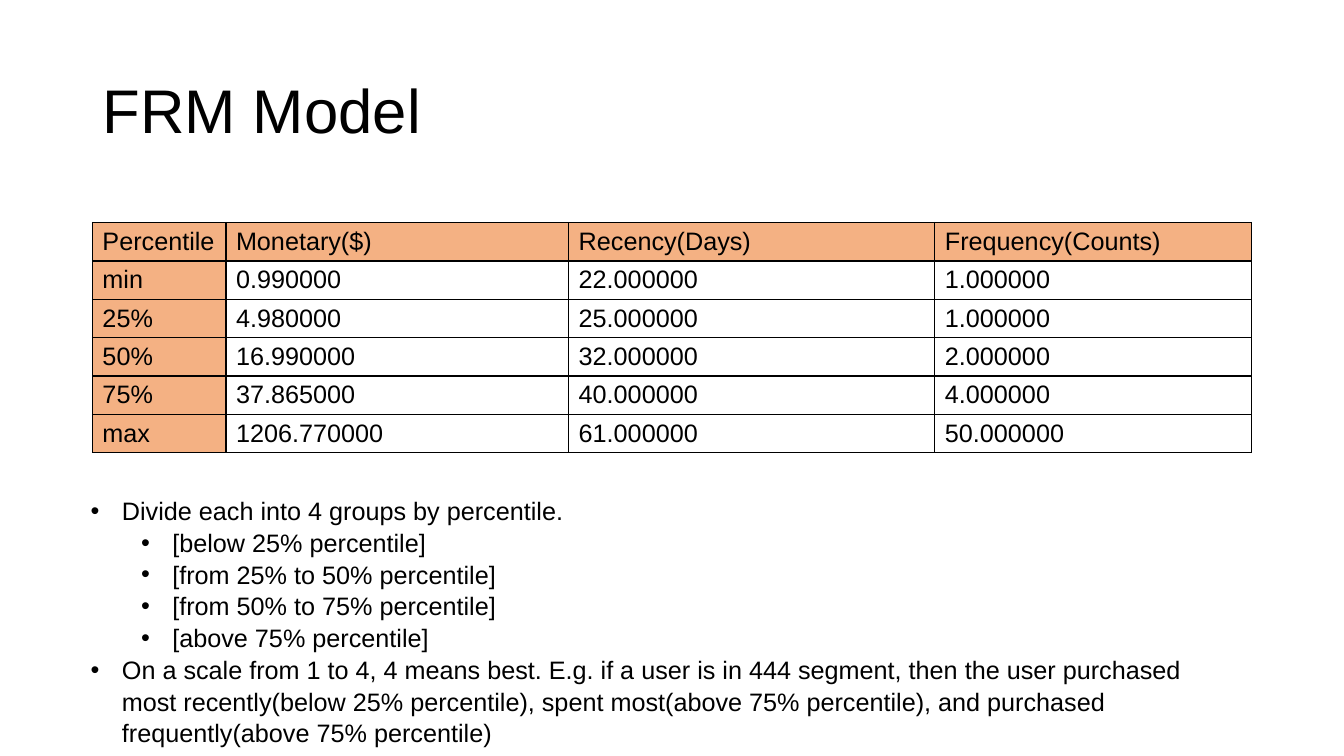
from dataclasses import dataclass

from lxml.etree import SubElement
from pptx import Presentation
from pptx.dml.color import RGBColor
from pptx.enum.text import MSO_ANCHOR as Anchor, MSO_AUTO_SIZE as AutoSize, PP_ALIGN as Align
from pptx.oxml.ns import qn
from pptx.util import Inches, Pt


@dataclass(frozen=True)
class Theme:
    font: str = "Arial"
    ink: str = "000000"
    accent: str = "F4B183"
    title_size: int = 44
    body_size: int = 18
    border: int = 1


class SlideBuilder:
    """Places styled elements on one slide, measured on a 160 by 90 grid."""

    def __init__(self, presentation, theme):
        self.theme = theme
        self.column = presentation.slide_width / 160
        self.row = presentation.slide_height / 90
        self.slide = presentation.slides.add_slide(presentation.slide_layouts[1])

    def across(self, columns):
        return round(columns * self.column)

    def down(self, rows):
        return round(rows * self.row)

    def place(self, shape, left, top, width, height):
        shape.left, shape.top = self.across(left), self.down(top)
        shape.width, shape.height = self.across(width), self.down(height)

    def style(self, paragraph, size):
        font = paragraph.font
        font.name, font.size = self.theme.font, Pt(size)
        font.color.rgb = RGBColor.from_string(self.theme.ink)

    def title(self, text, *box):
        shape = self.slide.shapes.title
        self.place(shape, *box)
        frame = shape.text_frame
        frame.text = text
        frame.auto_size = AutoSize.NONE
        frame.vertical_anchor = Anchor.MIDDLE
        paragraph = frame.paragraphs[0]
        paragraph.alignment = Align.LEFT
        paragraph.line_spacing = 0.9
        self.style(paragraph, self.theme.title_size)

    def bullet(self, paragraph, level):
        paragraph.level = level
        properties = paragraph._p.get_or_add_pPr()
        properties.set("marL", str(Inches(0.31 + 0.5 * level)))
        properties.set("indent", str(Inches(-0.31)))
        SubElement(properties, qn("a:buFont"), typeface=self.theme.font)
        SubElement(properties, qn("a:buChar"), char="•")

    def bullets(self, items, *box):
        shape = self.slide.placeholders[1]
        self.place(shape, *box)
        frame = shape.text_frame
        frame.auto_size = AutoSize.NONE
        frame.vertical_anchor = Anchor.TOP
        frame.text = "\n".join(text for level, text in items)
        for paragraph, (level, text) in zip(frame.paragraphs, items):
            self.bullet(paragraph, level)
            paragraph.line_spacing = 1.05
            paragraph.space_before = paragraph.space_after = Pt(0)
            self.style(paragraph, self.theme.body_size)

    def outline(self, cell):
        properties = cell._tc.get_or_add_tcPr()
        for side in ("lnL", "lnR", "lnT", "lnB"):
            line = SubElement(properties, qn(f"a:{side}"), w=str(Pt(self.theme.border)))
            fill = SubElement(line, qn("a:solidFill"))
            SubElement(fill, qn("a:srgbClr"), val=self.theme.ink)

    def cell(self, cell, text, is_header):
        self.outline(cell)
        if is_header:
            cell.fill.solid()
            cell.fill.fore_color.rgb = RGBColor.from_string(self.theme.accent)
        else:
            cell.fill.background()
        cell.text = text
        cell.vertical_anchor = Anchor.MIDDLE
        self.style(cell.text_frame.paragraphs[0], self.theme.body_size)

    def table(self, records, left, top, widths, row_height):
        table = self.slide.shapes.add_table(
            len(records), len(widths), self.across(left), self.down(top),
            self.across(sum(widths)), self.down(row_height * len(records)),
        ).table
        table.first_row = table.horz_banding = False
        for column, width in zip(table.columns, widths):
            column.width = self.across(width)
        for row_index, record in enumerate(records):
            table.rows[row_index].height = self.down(row_height)
            for column_index, text in enumerate(record):
                is_header = row_index == 0 or column_index == 0
                self.cell(table.cell(row_index, column_index), text, is_header)


PERCENTILES = [
    ("Percentile", "Monetary($)", "Recency(Days)", "Frequency(Counts)"),
    ("min", "0.990000", "22.000000", "1.000000"),
    ("25%", "4.980000", "25.000000", "1.000000"),
    ("50%", "16.990000", "32.000000", "2.000000"),
    ("75%", "37.865000", "40.000000", "4.000000"),
    ("max", "1206.770000", "61.000000", "50.000000"),
]
SCORING = [
    (0, "Divide each into 4 groups by percentile."),
    (1, "[below 25% percentile]"),
    (1, "[from 25% to 50% percentile]"),
    (1, "[from 50% to 75% percentile]"),
    (1, "[above 75% percentile]"),
    (0, "On a scale from 1 to 4, 4 means best. E.g. if a user is in 444 segment, "
        "then the user purchased most recently(below 25% percentile), spent most"
        "(above 75% percentile), and purchased frequently(above 75% percentile)"),
]


def main():
    presentation = Presentation()
    presentation.slide_width, presentation.slide_height = Inches(13.33), Inches(7.5)
    builder = SlideBuilder(presentation, Theme())
    builder.title("FRM Model", 11, 4.8, 138, 17.4)
    builder.table(PERCENTILES, 11, 26.5, (15.9, 40.8, 43.6, 37.7), 4.56)
    builder.bullets(SCORING, 9.6, 58.2, 138, 30.2)
    presentation.save("out.pptx")


if __name__ == "__main__":
    main()
